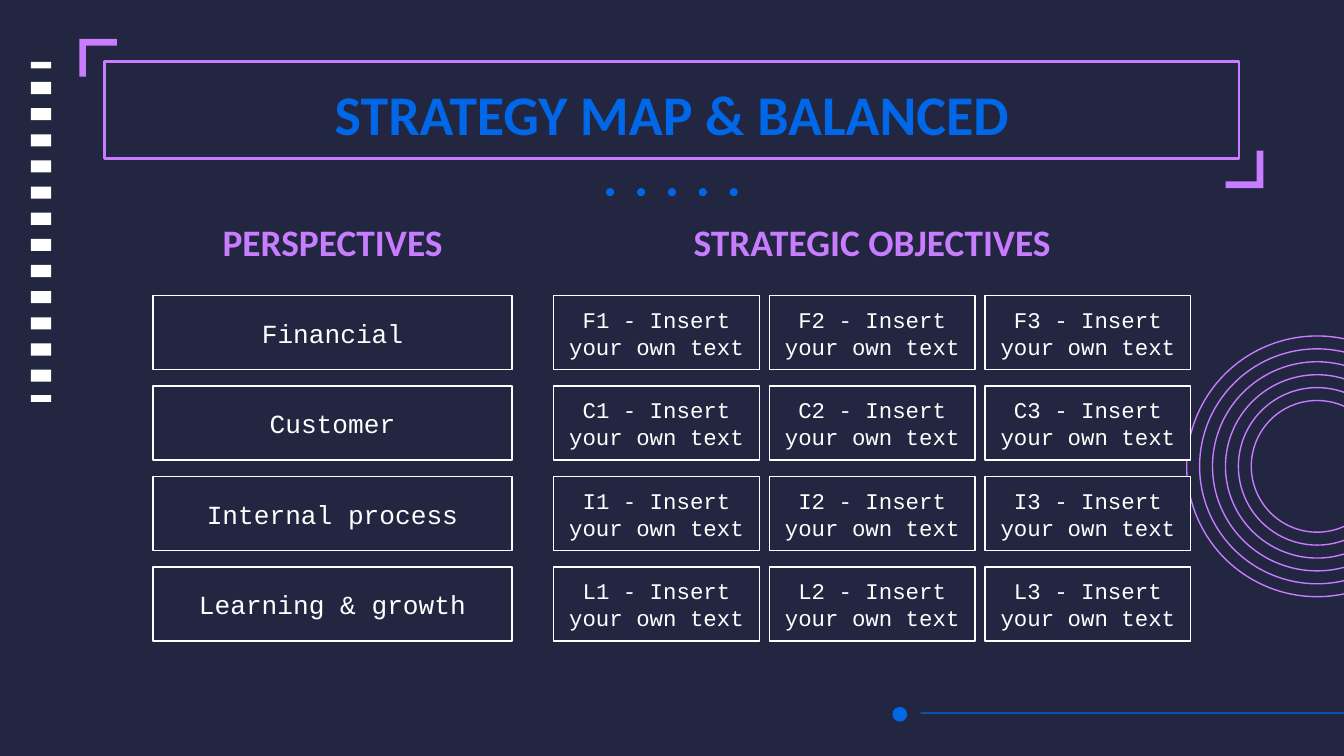
from pptx import Presentation
from pptx.dml.color import RGBColor
from pptx.enum.shapes import MSO_SHAPE
from pptx.enum.text import MSO_ANCHOR, MSO_AUTO_SIZE, PP_ALIGN
from pptx.util import Inches, Pt

RECT = MSO_SHAPE.RECTANGLE
OVAL = MSO_SHAPE.OVAL
TOP = MSO_ANCHOR.TOP
MIDDLE = MSO_ANCHOR.MIDDLE
CENTER = PP_ALIGN.CENTER
NO_AUTOFIT = MSO_AUTO_SIZE.NONE
TITLE_ONLY = 5

COLORS = {
    "navy": "222640",
    "violet": "C87CFF",
    "blue": "0068E8",
    "white": "FFFFFF",
}
HEADING_FONT = "Calibri"
BODY_FONT = "Courier New"

PERSPECTIVES = ["Financial", "Customer", "Internal process", "Learning & growth"]
PERSPECTIVE_LEFT, PERSPECTIVE_WIDTH = 1.14, 2.67
OBJECTIVE_LEFT, OBJECTIVE_WIDTH, OBJECTIVES_WIDTH = 4.12, 1.53, 4.74
ROW_HEIGHT = 0.55


def color(name):
    return RGBColor.from_string(COLORS[name])


def spread(first, last, count):
    step = (last - first) / (count - 1)
    return [first + step * index for index in range(count)]


def style(shape, fill=None, line=None, weight=0.75):
    shape.shadow.inherit = False
    if fill:
        shape.fill.solid()
        shape.fill.fore_color.rgb = color(fill)
    else:
        shape.fill.background()
    if line:
        shape.line.color.rgb = color(line)
        shape.line.width = Pt(weight)
    else:
        shape.line.fill.background()


def add_preset(slide, preset, left, top, width, height, **look):
    shape = slide.shapes.add_shape(
        preset, Inches(left), Inches(top), Inches(width), Inches(height))
    style(shape, **look)
    return shape


def write(shape, text, size, font, ink, bold=False, anchor=MIDDLE):
    frame = shape.text_frame
    frame.word_wrap = True
    frame.auto_size = NO_AUTOFIT
    frame.vertical_anchor = anchor
    frame.margin_left = frame.margin_right = Inches(0.1)
    frame.margin_top = frame.margin_bottom = Inches(0.1)
    paragraph = frame.paragraphs[0]
    paragraph.alignment = CENTER
    run = paragraph.add_run()
    run.text = text
    run.font.size = Pt(size)
    run.font.name = font
    run.font.bold = bold
    run.font.color.rgb = color(ink)


def add_rings(slide):
    center_x, center_y = 9.8, 3.47
    for radius in spread(0.49, 0.97, 6):
        add_preset(slide, OVAL, center_x - radius, center_y - radius,
                   2 * radius, 2 * radius, line="violet")


def add_dash_column(slide):
    dashes = [(0.46, 0.05), (2.94, 0.05)]
    dashes += [(top, 0.09) for top in spread(0.61, 2.75, 12)]
    for top, height in dashes:
        add_preset(slide, RECT, 0.23, top, 0.15, height, fill="white")


def add_footer_rule(slide):
    add_preset(slide, RECT, 6.85, 5.3, 3.18, 0.01, fill="blue")
    add_preset(slide, OVAL, 6.64, 5.26, 0.11, 0.11, fill="blue")


def add_corner(slide, x, y, direction):
    arm, thickness = 0.28 * direction, 0.05 * direction
    outline = slide.shapes.build_freeform(Inches(x), Inches(y))
    corners = [(arm, 0), (arm, thickness), (thickness, thickness),
               (thickness, arm), (0, arm)]
    outline.add_line_segments(
        [(Inches(x + dx), Inches(y + dy)) for dx, dy in corners])
    style(outline.convert_to_shape(), fill="violet")


def add_title(slide):
    add_preset(slide, RECT, 0.78, 0.46, 8.44, 0.72, line="violet", weight=1.5)
    add_corner(slide, 0.59, 0.29, 1)
    add_corner(slide, 9.4, 1.4, -1)
    title = slide.shapes.title
    title.left, title.top = Inches(0.78), Inches(0.49)
    title.width, title.height = Inches(8.44), Inches(1.07)
    write(title, "STRATEGY MAP & BALANCED", 30, HEADING_FONT, "blue",
          bold=True, anchor=TOP)
    for left in spread(4.51, 5.43, 5):
        add_preset(slide, OVAL, left, 1.4, 0.06, 0.06, fill="blue")


def add_heading(slide, text, left, width):
    heading = slide.shapes.add_textbox(
        Inches(left), Inches(1.56), Inches(width), Inches(0.47))
    write(heading, text, 20, HEADING_FONT, "violet", bold=True)


def add_cell(slide, text, left, top, width, size):
    cell = add_preset(slide, RECT, left, top, width, ROW_HEIGHT,
                      fill="navy", line="white")
    write(cell, text, size, BODY_FONT, "white")


def add_strategy_map(slide):
    add_heading(slide, "PERSPECTIVES", PERSPECTIVE_LEFT, PERSPECTIVE_WIDTH)
    add_heading(slide, "STRATEGIC OBJECTIVES", OBJECTIVE_LEFT, OBJECTIVES_WIDTH)
    row_tops = spread(2.2, 4.22, len(PERSPECTIVES))
    objective_lefts = spread(OBJECTIVE_LEFT, 7.33, 3)
    for perspective, top in zip(PERSPECTIVES, row_tops):
        add_cell(slide, perspective, PERSPECTIVE_LEFT, top, PERSPECTIVE_WIDTH, 14)
        for number, left in enumerate(objective_lefts, start=1):
            objective = f"{perspective[0]}{number} - Insert your own text"
            add_cell(slide, objective, left, top, OBJECTIVE_WIDTH, 12)


def main():
    presentation = Presentation()
    presentation.slide_width = Inches(10)
    presentation.slide_height = Inches(10) * 9 // 16
    slide = presentation.slides.add_slide(presentation.slide_layouts[TITLE_ONLY])
    slide.background.fill.solid()
    slide.background.fill.fore_color.rgb = color("navy")
    add_rings(slide)
    add_dash_column(slide)
    add_footer_rule(slide)
    add_title(slide)
    add_strategy_map(slide)
    presentation.save("out.pptx")


if __name__ == "__main__":
    main()
